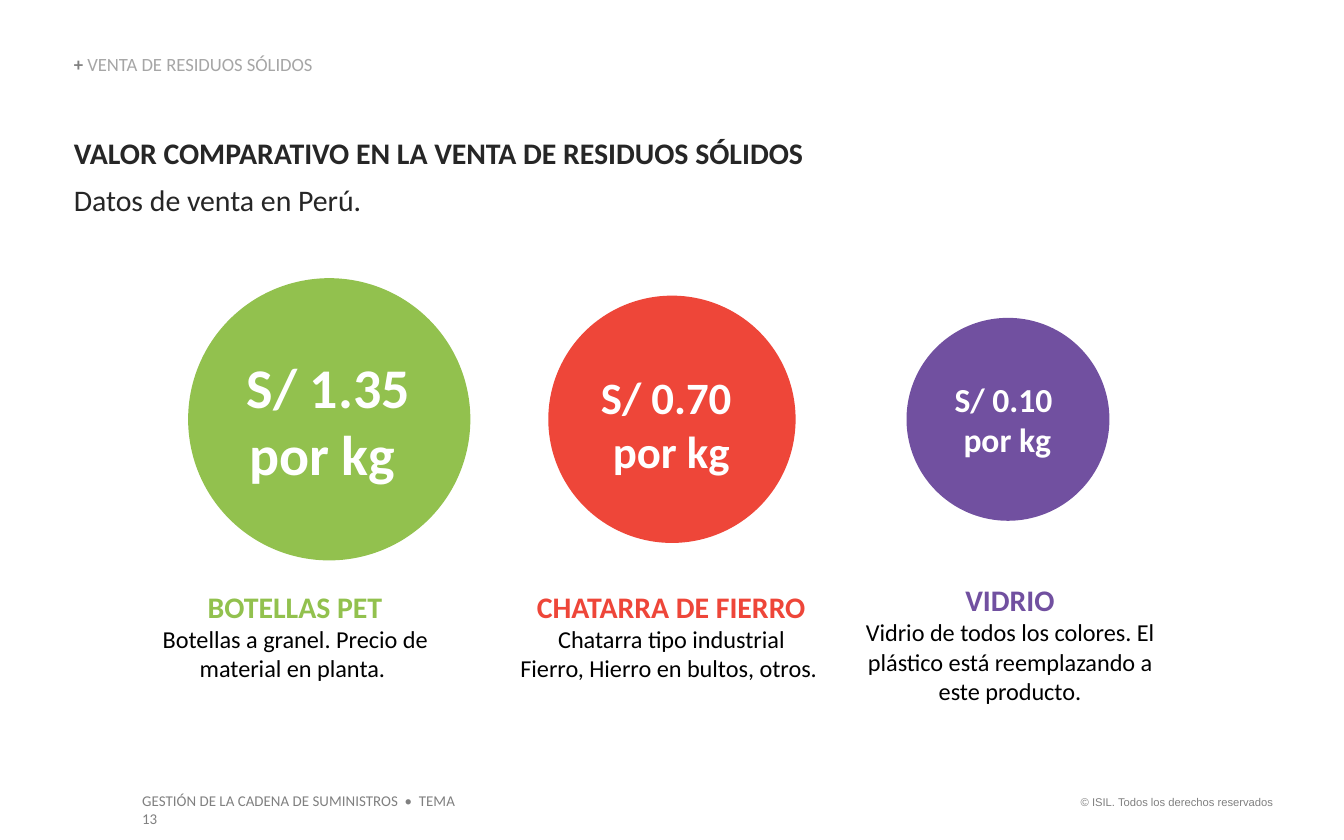
from pptx import Presentation
from pptx.dml.color import RGBColor
from pptx.enum.shapes import MSO_SHAPE as Shape
from pptx.enum.text import MSO_ANCHOR as Anchor, MSO_AUTO_SIZE as AutoSize, PP_ALIGN as Align
from pptx.util import Pt

PX = 9144  # EMU per px, 100 px to the inch
WIDTH, HEIGHT = 1000, 625

GREEN = RGBColor(0x92, 0xC1, 0x4E)
RED = RGBColor(0xEE, 0x46, 0x39)
PURPLE = RGBColor(0x71, 0x50, 0xA0)
INK = RGBColor(0x26, 0x26, 0x26)
GRAY = RGBColor(0x80, 0x80, 0x80)
LIGHT_GRAY = RGBColor(0xA6, 0xA6, 0xA6)
BLACK = RGBColor(0, 0, 0)
WHITE = RGBColor(0xFF, 0xFF, 0xFF)

SECTION = "VENTA DE RESIDUOS SÓLIDOS"
TITLE = "VALOR COMPARATIVO EN LA VENTA DE RESIDUOS SÓLIDOS"
SUBTITLE = "Datos de venta en Perú."
COURSE = "GESTIÓN DE LA CADENA DE SUMINISTROS  •  TEMA 13"
COPYRIGHT = "© ISIL. Todos los derechos reservados"

CIRCLE_MIDDLE = 312
MATERIALS = [
    dict(name="BOTELLAS PET", color=GREEN, center=245, diameter=210,
         price=["S/ 1.35 por kg "], price_size=30, price_box=(158, 262, 173, 101),
         notes=["Botellas a granel. Precio de material en planta. "],
         notes_box=(99, 438, 241, 71)),
    dict(name="CHATARRA DE FIERRO", color=RED, center=500, diameter=184,
         price=["S/ 0.70 ", "por kg"], price_size=24, price_box=(408, 275, 183, 81),
         notes=["Chatarra tipo industrial", "Fierro, Hierro en bultos, otros. "],
         notes_box=(373, 438, 253, 71)),
    dict(name="VIDRIO", color=PURPLE, center=750, diameter=151,
         price=["S/ 0.10 ", "por kg"], price_size=18, price_box=(687, 282, 125, 61),
         notes=["Vidrio de todos los colores. El plástico está reemplazando a este producto."],
         notes_box=(636, 433, 231, 93)),
]


def style(size, color, bold=False, name="Calibri"):
    return dict(size=Pt(size), color=color, bold=bold, name=name)


def add_text(slide, box, paragraphs, align=Align.LEFT, margins=(0, 0), anchor=Anchor.TOP):
    """Each paragraph is a list of (text, style) runs; margins are side and top/bottom px."""
    frame = slide.shapes.add_textbox(*(v * PX for v in box)).text_frame
    side, end = (m * PX for m in margins)
    settings = dict(word_wrap=True, auto_size=AutoSize.SHAPE_TO_FIT_TEXT,
                    vertical_anchor=anchor, margin_left=side, margin_right=side,
                    margin_top=end, margin_bottom=end)
    for key, value in settings.items():
        setattr(frame, key, value)
    for index, runs in enumerate(paragraphs):
        paragraph = frame.add_paragraph() if index else frame.paragraphs[0]
        paragraph.alignment = align
        for text, look in runs:
            run = paragraph.add_run()
            run.text = text
            for key, value in look.items():
                if key == "color":
                    run.font.color.rgb = value
                else:
                    setattr(run.font, key, value)
    return frame


def add_material(slide, material):
    diameter, color = material["diameter"], material["color"]
    left = material["center"] - diameter / 2
    top = CIRCLE_MIDDLE - diameter / 2
    circle = slide.shapes.add_shape(
        Shape.OVAL, *(round(v * PX) for v in (left, top, diameter, diameter)))
    circle.shadow.inherit = False
    circle.fill.solid()
    circle.fill.fore_color.rgb = color
    circle.line.fill.background()

    price_style = style(material["price_size"], WHITE, True)
    add_text(slide, material["price_box"],
             [[(line, price_style)] for line in material["price"]], Align.CENTER)
    notes = [[(line, style(13, BLACK))] for line in material["notes"]]
    add_text(slide, material["notes_box"],
             [[(material["name"], style(16, color, True))]] + notes, Align.CENTER)


def main():
    deck = Presentation()
    deck.slide_width, deck.slide_height = WIDTH * PX, HEIGHT * PX
    slide = deck.slides.add_slide(deck.slide_layouts[6])

    section = add_text(slide, (55, 41, 465, 15),
                       [[("+ ", style(10, GRAY, True)), (SECTION, style(10, LIGHT_GRAY))]],
                       anchor=Anchor.BOTTOM)
    section.paragraphs[0].line_spacing = 0.9

    heading = add_text(slide, (55, 100, 894, 62),
                       [[(TITLE, style(16, INK, True))], [(SUBTITLE, style(16, INK))]])
    heading.paragraphs[0].space_after = Pt(6)

    for material in MATERIALS:
        add_material(slide, material)

    add_text(slide, (96, 584, 266, 24), [[(COURSE, style(8, GRAY))]], margins=(10, 5))
    add_text(slide, (788, 587, 169, 20), [[(COPYRIGHT, style(6, GRAY, name="Arial"))]],
             Align.RIGHT, margins=(10, 5))
    deck.save("out.pptx")


if __name__ == "__main__":
    main()
